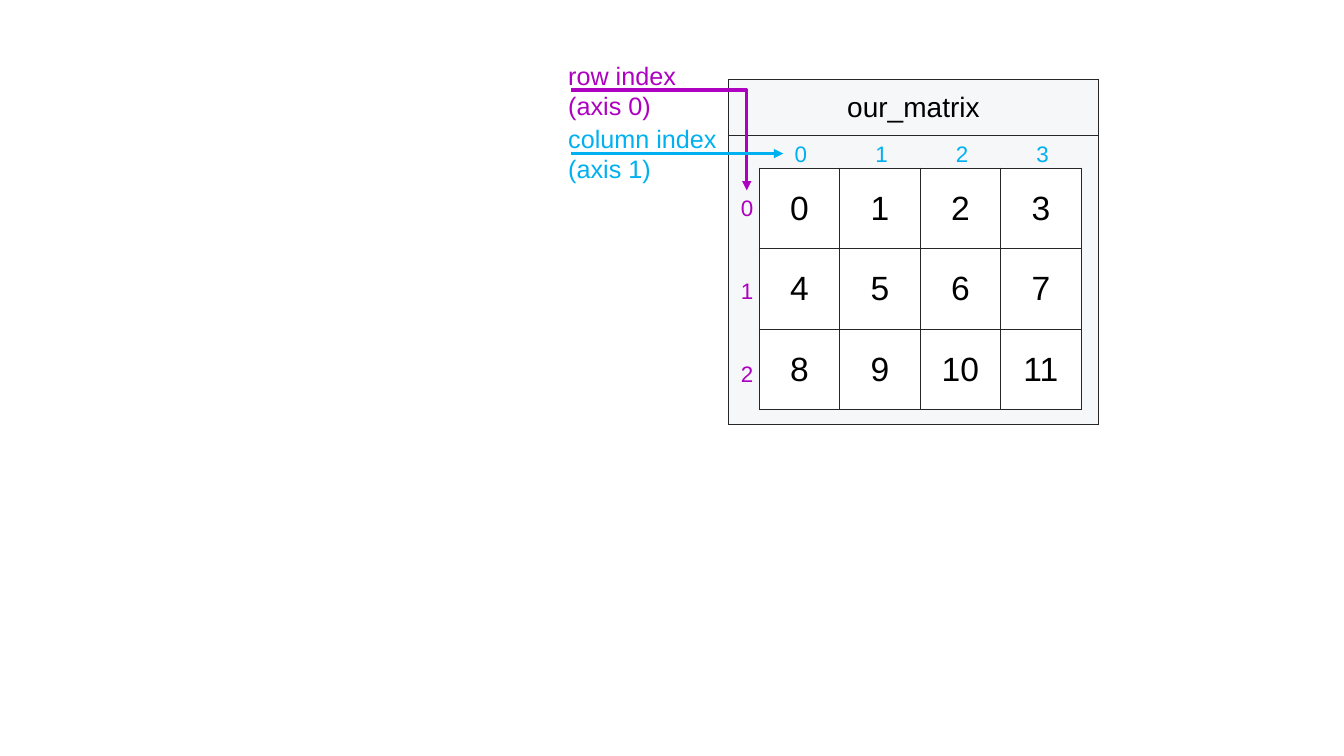
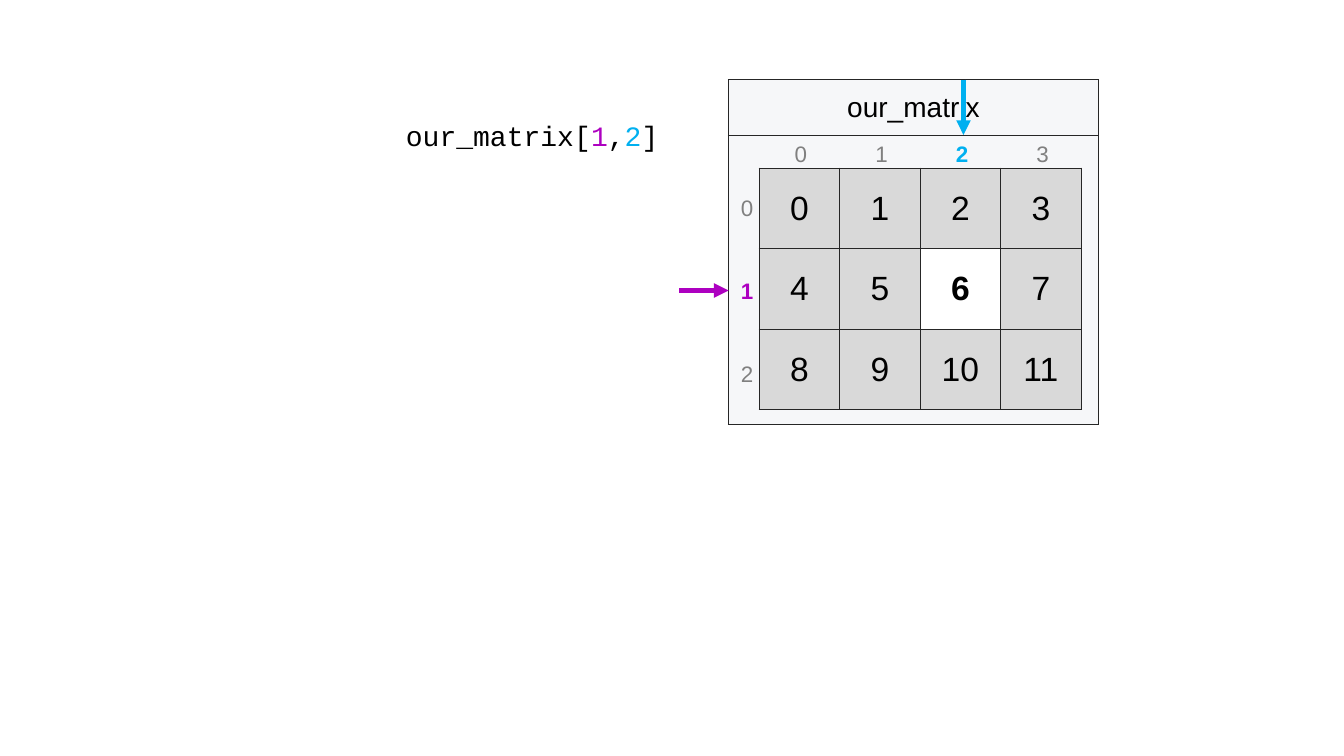
from lxml.etree import SubElement
from pptx import Presentation
from pptx.dml.color import RGBColor
from pptx.enum.shapes import MSO_CONNECTOR
from pptx.enum.text import MSO_ANCHOR, MSO_AUTO_SIZE, PP_ALIGN
from pptx.oxml.ns import qn
from pptx.util import Cm, Pt

# Shared style
BLACK, WHITE, INK = "000000", "FFFFFF", "262626"
PANEL, DIMMED, GREY = "F6F7F9", "D9D9D9", "808080"
ROW, COLUMN = "AD00C0", "00B0F0"
SANS, MONO = "Arial", "Courier New"

# Matrix geometry in cm
ROWS, COLS, CELL = 3, 4, 2.03
PANEL_X, PANEL_Y, PANEL_W = 18.36, 2.01, 9.32
GRID_X, GRID_Y = 19.13, 4.24
LABEL_W, LABEL_H = 0.89, 0.94


def rgb(value):
    return RGBColor.from_string(value)


def write(p, text, size=18, color=BLACK, bold=False, font=SANS, align=None):
    if align is not None:
        p.alignment = align
    r = p.add_run()
    r.text = text
    r.font.name, r.font.size, r.font.bold = font, Pt(size), bold
    r.font.color.rgb = rgb(color)


class Deck:
    def __init__(self):
        self.prs = Presentation()
        self.prs.slide_width, self.prs.slide_height = Cm(33.87), Cm(19.05)
        self.s = None

    def slide(self):
        self.s = self.prs.slides.add_slide(self.prs.slide_layouts[6])

    def text(self, x, y, w, h, paragraphs, wrap=True, **style):
        """Each paragraph is a list of (text, color) runs."""
        tf = self.s.shapes.add_textbox(Cm(x), Cm(y), Cm(w), Cm(h)).text_frame
        tf.word_wrap = wrap
        tf.auto_size = MSO_AUTO_SIZE.SHAPE_TO_FIT_TEXT
        for i, runs in enumerate(paragraphs):
            p = tf.add_paragraph() if i else tf.paragraphs[0]
            for text, color in runs:
                write(p, text, color=color, **style)

    def arrow(self, x1, y1, x2, y2, color, width, elbow=False):
        kind = MSO_CONNECTOR.ELBOW if elbow else MSO_CONNECTOR.STRAIGHT
        sp = self.s.shapes.add_connector(kind, Cm(x1), Cm(y1), Cm(x2), Cm(y2))
        sp.line.color.rgb = rgb(color)
        sp.line.width = Pt(width)
        SubElement(sp.line._get_or_add_ln(), qn("a:tailEnd"), type="triangle")
        sp_pr = sp._element.spPr
        SubElement(sp_pr, qn("a:effectLst"))
        if elbow:  # turn at the far end
            guides = sp_pr.find(qn("a:prstGeom")).find(qn("a:avLst"))
            SubElement(guides, qn("a:gd"), name="adj1", fmla="val 100000")

    def table(self, x, y, widths, heights):
        frame = self.s.shapes.add_table(
            len(heights), len(widths), Cm(x), Cm(y), Cm(sum(widths)), Cm(sum(heights)))
        table = frame.table
        table.first_row = table.horz_banding = False
        for column, width in zip(table.columns, widths):
            column.width = Cm(width)
        for row, height in zip(table.rows, heights):
            row.height = Cm(height)
        return table

    def cell(self, cell, fill, text="", **style):
        tc_pr = cell._tc.get_or_add_tcPr()
        for side in ("lnL", "lnR", "lnT", "lnB"):
            ln = SubElement(tc_pr, qn(f"a:{side}"), w=str(Pt(1)))
            SubElement(SubElement(ln, qn("a:solidFill")), qn("a:srgbClr"), val=INK)
        cell.fill.solid()
        cell.fill.fore_color.rgb = rgb(fill)
        cell.vertical_anchor = MSO_ANCHOR.MIDDLE
        if text:
            write(cell.text_frame.paragraphs[0], text, align=PP_ALIGN.CENTER, **style)

    def index(self, x, y, i, color, chosen, align):
        """An axis label: coloured unless another index is chosen."""
        shown = color if chosen in (None, i) else GREY
        self.text(x, y, LABEL_W, LABEL_H, [[(str(i), shown)]],
                  size=16, bold=chosen == i, align=align)

    def matrix(self, row=None, col=None):
        """The framed matrix, with one cell picked out if row and col are given."""
        panel = self.table(PANEL_X, PANEL_Y, [PANEL_W], [1.4, 7.29])
        self.cell(panel.cell(0, 0), PANEL, "our_matrix", size=20)
        self.cell(panel.cell(1, 0), PANEL)
        grid = self.table(GRID_X, GRID_Y, [CELL] * COLS, [CELL] * ROWS)
        for i in range(ROWS):
            for j in range(COLS):
                picked = (i, j) == (row, col)
                fill = WHITE if picked or row is None else DIMMED
                self.cell(grid.cell(i, j), fill, str(i * COLS + j), size=24, bold=picked)
        for i in range(ROWS):
            self.index(18.42, 4.78 + 2.08 * i, i, ROW, row, PP_ALIGN.LEFT)
        for j in range(COLS):
            self.index(19.74 + CELL * j, 3.4, j, COLUMN, col, PP_ALIGN.CENTER)


deck = Deck()

# Slide 1: the two axes
deck.slide()
deck.matrix()
deck.arrow(14.4, 2.27, 18.82, 4.8, ROW, 2.25, elbow=True)
deck.text(14.07, 1.4, 3.43, 1.8, [[("row index ", ROW)], [("(axis 0)", ROW)]], wrap=False)
deck.arrow(14.4, 3.87, 19.74, 3.87, COLUMN, 2.25)
deck.text(14.07, 2.98, 4.47, 1.8, [[("column index ", COLUMN)], [("(axis 1)", COLUMN)]],
          wrap=False)

# Slide 2: selecting one element
deck.slide()
deck.matrix(row=1, col=2)
code = [("our_matrix[", BLACK), ("1", ROW), (",", BLACK), ("2", COLUMN), ("]", BLACK)]
deck.text(9.98, 2.85, 6.93, 1.12, [code], wrap=False, size=20, font=MONO)
deck.arrow(17.12, 7.32, PANEL_X, 7.32, ROW, 3.5)
deck.arrow(24.28, PANEL_Y, 24.28, 3.4, COLUMN, 3.5)

deck.prs.save("out.pptx")
